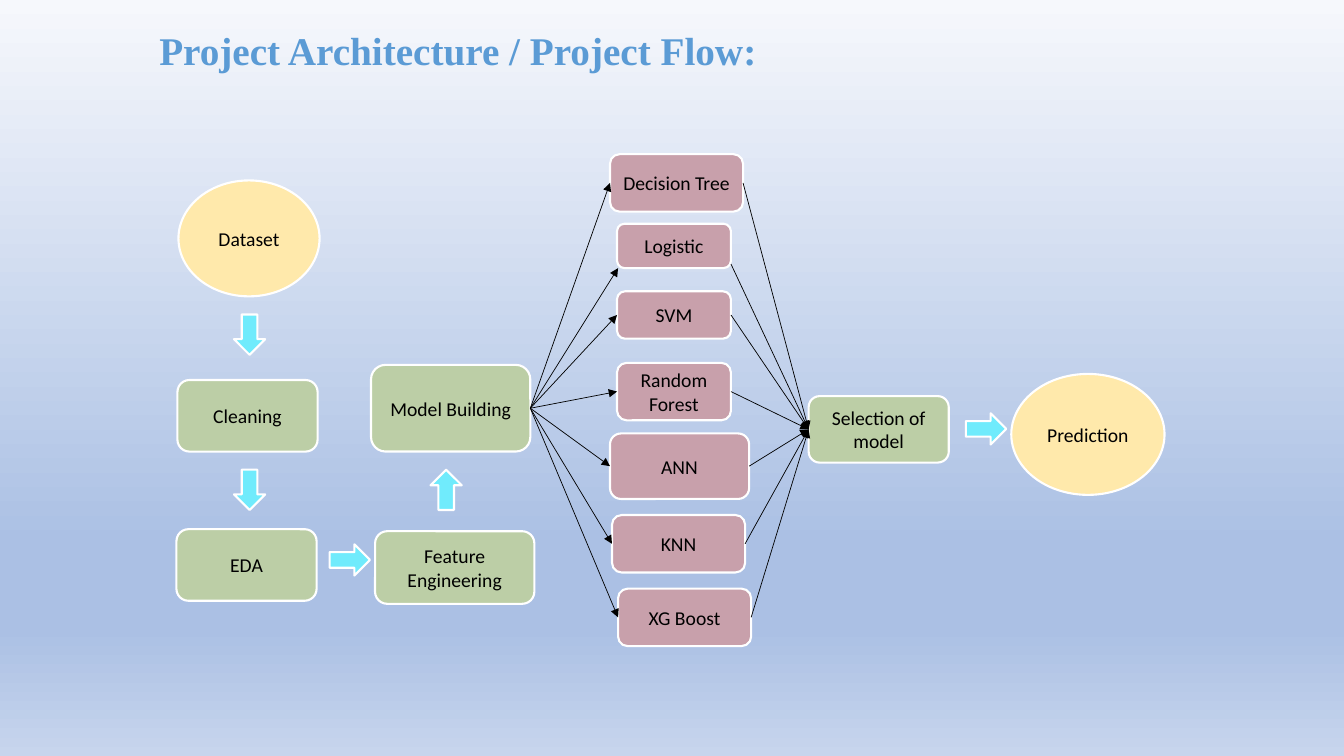
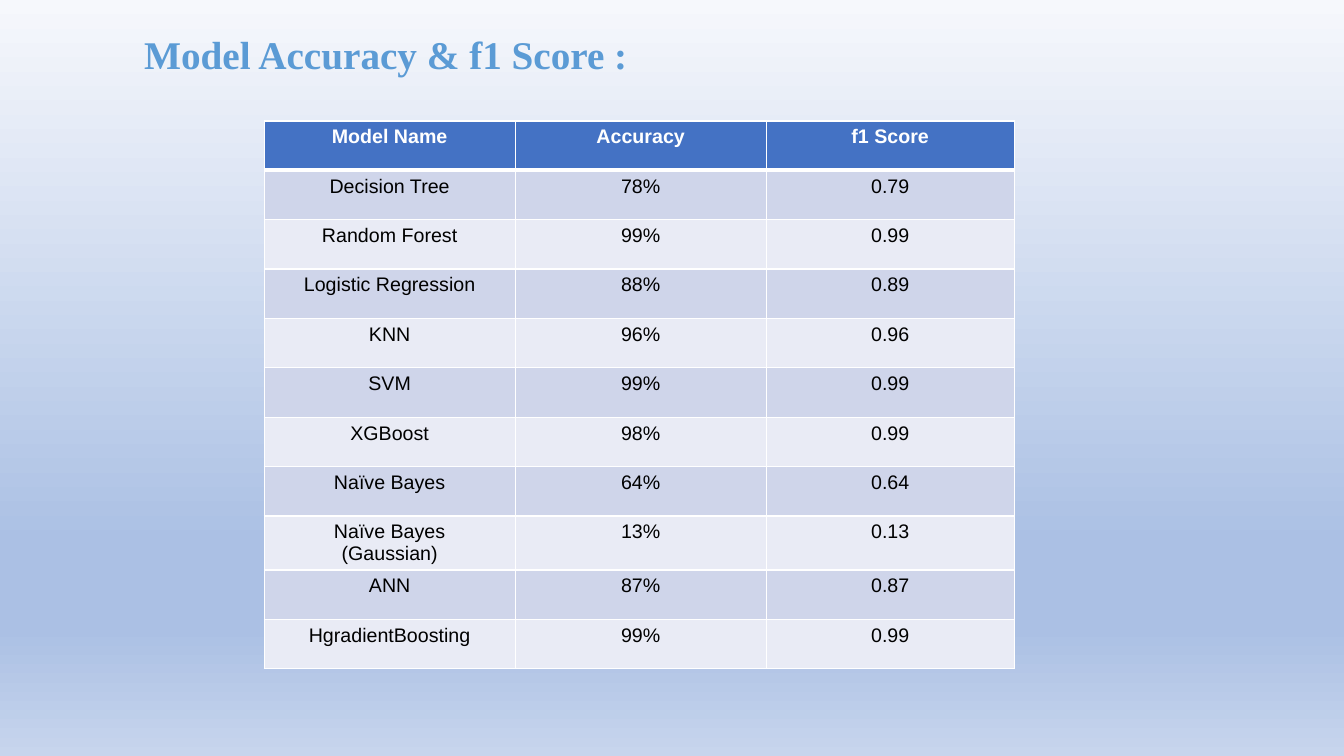
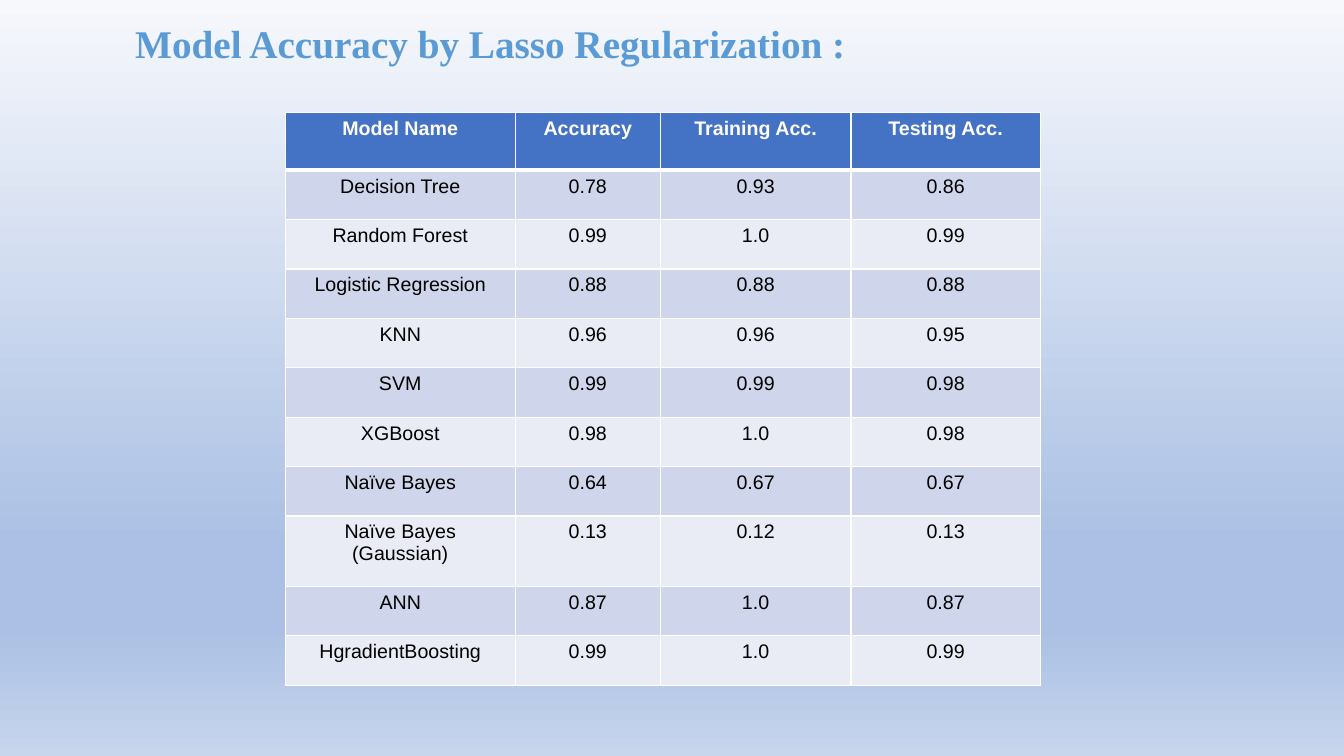
from lxml.etree import SubElement
from pptx import Presentation
from pptx.dml.color import RGBColor
from pptx.enum.shapes import MSO_CONNECTOR as CONN, MSO_SHAPE as SHAPE
from pptx.enum.text import MSO_ANCHOR as ANCHOR, MSO_AUTO_SIZE as FIT, PP_ALIGN as ALIGN
from pptx.oxml.ns import qn
from pptx.util import Emu, Pt

PX = 9144
C = {
    "title": "5B9BD5", "ink": "000000", "white": "FFFFFF",
    "data": "FFE9AB", "step": "BCCEA6", "model": "C8A0AB", "arrow": "70EBFC",
    "head": "4472C4", "odd": "CFD5EA", "even": "E9EBF5",
}
SKY = [(0, "F6F8FC"), (72, "ABC0E4"), (83, "ABC0E4"), (100, "C7D5ED")]
LEFT, RIGHT = 1, 3

STAGES = [
    ("Dataset", SHAPE.OVAL, "data", (2, 26, 140, 115)),
    ("Cleaning", SHAPE.ROUNDED_RECTANGLE, "step", (1, 224, 139, 71)),
    ("EDA", SHAPE.ROUNDED_RECTANGLE, "step", (0, 372, 139, 71)),
    ("Feature Engineering", SHAPE.ROUNDED_RECTANGLE, "step", (197, 374, 158, 72)),
    ("Model Building", SHAPE.ROUNDED_RECTANGLE, "step", (193, 209, 158, 86)),
    ("Selection of model", SHAPE.ROUNDED_RECTANGLE, "step", (627, 240, 139, 66)),
    ("Prediction", SHAPE.OVAL, "data", (828, 218, 152, 120)),
]
BLOCK_ARROWS = [
    (SHAPE.DOWN_ARROW, (57, 159, 31, 40)),
    (SHAPE.DOWN_ARROW, (57, 313, 31, 40)),
    (SHAPE.RIGHT_ARROW, (152, 387, 40, 31)),
    (SHAPE.UP_ARROW, (252, 313, 31, 40)),
    (SHAPE.RIGHT_ARROW, (783, 257, 40, 31)),
]
CANDIDATES = [
    ("Decision Tree", (430, 0, 132, 57)),
    ("Logistic", (437, 69, 113, 44)),
    ("SVM", (437, 136, 113, 47)),
    ("Random Forest", (437, 207, 113, 57)),
    ("ANN", (430, 277, 138, 65)),
    ("KNN", (432, 358, 132, 57)),
    ("XG Boost", (438, 431, 132, 57)),
]
LOGISTIC_IN, LOGISTIC_OUT = (438, 113), (550, 109)

MODELS = [
    "Decision Tree", "Random Forest", "Logistic Regression", "KNN", "SVM", "XGBoost",
    "Naïve Bayes", "Naïve Bayes\n(Gaussian)", "ANN", "HgradientBoosting",
]
F1_SCORES = {
    "Accuracy": "78% 99% 88% 96% 99% 98% 64% 13% 87% 99%",
    "f1 Score": "0.79 0.99 0.89 0.96 0.99 0.99 0.64 0.13 0.87 0.99",
}
LASSO_SCORES = {
    "Accuracy": "0.78 0.99 0.88 0.96 0.99 0.98 0.64 0.13 0.87 0.99",
    "Training Acc.": "0.93 1.0 0.88 0.96 0.99 1.0 0.67 0.12 1.0 1.0",
    "Testing Acc.": "0.86 0.99 0.88 0.95 0.98 0.98 0.67 0.13 0.87 0.99",
}


def px(*values):
    return [Emu(v * PX) for v in values]


def rgb(name):
    return RGBColor.from_string(C[name])


def write(tf, text, size, font, color, bold=False, align=ALIGN.CENTER):
    for i, line in enumerate(text.split("\n")):
        p = tf.add_paragraph() if i else tf.paragraphs[0]
        p.alignment = align
        r = p.add_run()
        r.text = line
        r.font.size = Pt(size)
        r.font.name = font
        r.font.bold = bold
        r.font.color.rgb = rgb(color)


def paint_background(master):
    fill = master.background.fill
    fill.gradient()
    fill.gradient_angle = 270
    stops = master.element.find(".//" + qn("a:gsLst"))
    for gs in list(stops):
        stops.remove(gs)
    for pos, color in SKY:
        gs = SubElement(stops, qn("a:gs"), pos=str(pos * 1000))
        SubElement(gs, qn("a:srgbClr"), val=color)


def add_slide(prs, title, box):
    s = prs.slides.add_slide(prs.slide_layouts[5])
    sp = s.shapes.title
    sp.left, sp.top, sp.width, sp.height = px(*box)
    tf = sp.text_frame
    tf.word_wrap = True
    tf.auto_size = FIT.NONE
    tf.vertical_anchor = ANCHOR.TOP
    write(tf, title, 28, "Times New Roman", "title", True, ALIGN.LEFT)
    return s


def add_node(s, origin, kind, color, box, text=""):
    x, y, w, h = box
    sp = s.shapes.add_shape(kind, *px(origin[0] + x, origin[1] + y, w, h))
    sp.shadow.inherit = False
    sp.fill.solid()
    sp.fill.fore_color.rgb = rgb(color)
    sp.line.color.rgb = rgb("white")
    sp.line.width = Pt(1.5)
    if text:
        sp.text_frame.word_wrap = True
        sp.text_frame.vertical_anchor = ANCHOR.MIDDLE
        write(sp.text_frame, text, 14, "Calibri", "ink")
    return sp


def add_link(s, origin, start, end, begin_at=None, end_at=None):
    cx = s.shapes.add_connector(CONN.STRAIGHT, 0, 0, 0, 0)
    if begin_at:
        cx.begin_x, cx.begin_y = px(origin[0] + begin_at[0], origin[1] + begin_at[1])
    else:
        cx.begin_connect(start, RIGHT)
    if end_at:
        cx.end_x, cx.end_y = px(origin[0] + end_at[0], origin[1] + end_at[1])
    else:
        cx.end_connect(end, LEFT)
    cx.line.color.rgb = rgb("ink")
    cx.line.width = Pt(0.5)
    SubElement(cx.line._get_or_add_ln(), qn("a:tailEnd"), type="triangle")
    SubElement(cx._element.spPr, qn("a:effectLst"))


def add_flow(s, origin):
    stages = {text: add_node(s, origin, kind, color, box, text)
              for text, kind, color, box in STAGES}
    for kind, box in BLOCK_ARROWS:
        add_node(s, origin, kind, "arrow", box)
    for text, box in CANDIDATES:
        sp = add_node(s, origin, SHAPE.ROUNDED_RECTANGLE, "model", box, text)
        corner_in, corner_out = (LOGISTIC_IN, LOGISTIC_OUT) if text == "Logistic" else (None, None)
        add_link(s, origin, stages["Model Building"], sp, end_at=corner_in)
        add_link(s, origin, sp, stages["Selection of model"], begin_at=corner_out)


def set_borders(cell, top, bottom):
    tcPr = cell._tc.get_or_add_tcPr()
    sides = [("a:lnL", 1), ("a:lnR", 1), ("a:lnT", top), ("a:lnB", bottom)]
    for i, (tag, width) in enumerate(sides):
        ln = SubElement(tcPr, qn(tag), w=str(Pt(width)))
        fill = SubElement(ln, qn("a:solidFill"))
        SubElement(fill, qn("a:srgbClr"), val=C["white"])
        tcPr.insert(i, ln)


def add_scores(s, left, top, widths, heights, scores):
    rows = [["Model Name", *scores]]
    rows += zip(MODELS, *(column.split() for column in scores.values()))
    frame = s.shapes.add_table(len(rows), len(widths),
                               *px(left, top, sum(widths), sum(heights)))
    table = frame.table
    table.horz_banding = False
    for column, width in zip(table.columns, px(*widths)):
        column.width = width
    for row, height in zip(table.rows, px(*heights)):
        row.height = height
    for i, values in enumerate(rows):
        head = i == 0
        band = "head" if head else "odd" if i % 2 else "even"
        for j, text in enumerate(values):
            cell = table.cell(i, j)
            cell.fill.solid()
            cell.fill.fore_color.rgb = rgb(band)
            set_borders(cell, 3 if i == 1 else 1, 3 if head else 1)
            write(cell.text_frame, text, 14, "Arial", "white" if head else "ink", head)


def main():
    prs = Presentation()
    prs.slide_width, prs.slide_height = px(1333, 750)
    paint_background(prs.slide_master)

    s = add_slide(prs, "Project Architecture / Project Flow:", (148, 21, 671, 57))
    add_flow(s, (175, 153))

    s = add_slide(prs, "Model Accuracy & f1 Score :", (133, 25, 549, 57))
    add_scores(s, 262, 120, [249, 249, 246], [49] * 11, F1_SCORES)

    s = add_slide(prs, "Model Accuracy by Lasso Regularization :", (124, 14, 813, 57))
    add_scores(s, 283, 112, [228, 144, 189, 188], [57, *[49] * 7, 70, 49, 49], LASSO_SCORES)

    prs.save("out.pptx")


if __name__ == "__main__":
    main()
